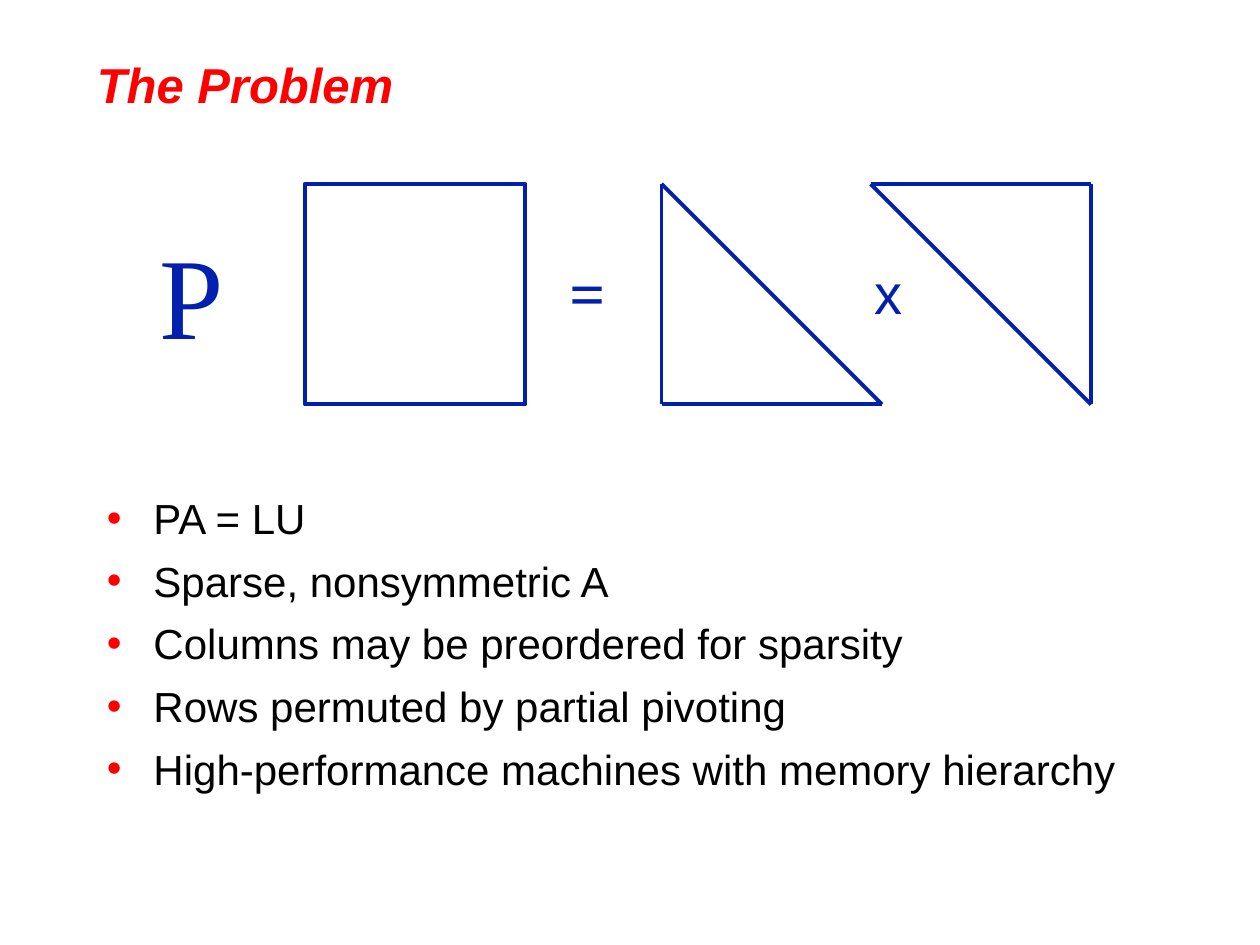
from dataclasses import dataclass

from lxml.etree import SubElement
from pptx import Presentation
from pptx.dml.color import RGBColor
from pptx.enum.shapes import MSO_CONNECTOR as Connector, MSO_SHAPE as Shape
from pptx.enum.text import MSO_ANCHOR as Anchor, MSO_AUTO_SIZE as AutoSize
from pptx.oxml.ns import qn
from pptx.util import Inches, Pt


@dataclass(frozen=True)
class Theme:
    red: RGBColor = RGBColor(0xFF, 0x00, 0x00)
    blue: RGBColor = RGBColor(0x02, 0x1F, 0xAE)
    black: RGBColor = RGBColor(0x00, 0x00, 0x00)
    sans: str = "Arial"
    serif: str = "Times New Roman"
    title_size: int = 28
    body_size: int = 24
    equals_size: int = 36
    times_size: int = 32
    permutation_size: int = 66
    outline: float = 2.25


THEME = Theme()
MATRIX_TOP, MATRIX_SIZE = 1.46, 1.75
MATRIX_BOTTOM = MATRIX_TOP + MATRIX_SIZE
BULLETS = [
    "PA = LU",
    "Sparse, nonsymmetric A",
    "Columns may be preordered for sparsity",
    "Rows permuted by partial pivoting",
    "High-performance machines with memory hierarchy",
]


def add_bullet(paragraph, color, indent=0.37):
    properties = paragraph._p.get_or_add_pPr()
    properties.set("marL", str(Inches(indent)))
    properties.set("indent", str(-Inches(indent)))
    bullet_color = SubElement(properties, qn("a:buClr"))
    SubElement(bullet_color, qn("a:srgbClr"), val=str(color))
    SubElement(properties, qn("a:buFont"), typeface=THEME.sans)
    SubElement(properties, qn("a:buChar"), char="•")


def add_text(slide, text, left, top, width, height, *, size, color,
             font=THEME.sans, bold=False, italic=False, wrap=True,
             anchor=Anchor.TOP, bullet_color=None, gap=0):
    """Add a text box with one paragraph for each line of text."""
    box = slide.shapes.add_textbox(
        Inches(left), Inches(top), Inches(width), Inches(height))
    frame = box.text_frame
    frame.word_wrap = wrap
    frame.auto_size = AutoSize.NONE if wrap else AutoSize.SHAPE_TO_FIT_TEXT
    frame.vertical_anchor = anchor
    frame.text = text
    for index, paragraph in enumerate(frame.paragraphs):
        if index and gap:
            paragraph.space_before = Pt(gap)
        if bullet_color is not None:
            add_bullet(paragraph, bullet_color)
        for run in paragraph.runs:
            run.font.name = font
            run.font.size = Pt(size)
            run.font.bold = bold
            run.font.italic = italic
            run.font.color.rgb = color


def style_outline(shape):
    shape.line.color.rgb = THEME.blue
    shape.line.width = Pt(THEME.outline)


def add_square(slide, left):
    square = slide.shapes.add_shape(
        Shape.RECTANGLE, Inches(left), Inches(MATRIX_TOP),
        Inches(MATRIX_SIZE), Inches(MATRIX_SIZE))
    square.shadow.inherit = False
    square.fill.background()
    style_outline(square)


def add_triangle(slide, corners):
    """Group the three lines that join the corners."""
    group = slide.shapes.add_group_shape()
    for start, end in zip(corners, corners[1:] + corners[:1]):
        line = group.shapes.add_connector(
            Connector.STRAIGHT, *map(Inches, start + end))
        style_outline(line)
        SubElement(line._element.spPr, qn("a:effectLst"))


def add_factorization(slide):
    add_square(slide, 2.42)

    lower_left, upper_left = 5.25, 6.91
    lower_right, upper_right = (
        left + MATRIX_SIZE for left in (lower_left, upper_left))
    add_triangle(slide, [(lower_left, MATRIX_TOP), (lower_left, MATRIX_BOTTOM),
                         (lower_right, MATRIX_BOTTOM)])
    add_triangle(slide, [(upper_right, MATRIX_BOTTOM), (upper_right, MATRIX_TOP),
                         (upper_left, MATRIX_TOP)])

    add_text(slide, "=", 4.42, 1.96, 0.48, 0.7, size=THEME.equals_size,
             color=THEME.blue, font=THEME.serif, bold=True, wrap=False)
    add_text(slide, "x", 6.84, 2, 0.42, 0.64, size=THEME.times_size,
             color=THEME.blue, wrap=False)
    add_text(slide, "P", 1.17, 1.73, 0.71, 1.2, size=THEME.permutation_size,
             color=THEME.blue, font=THEME.serif, wrap=False)


def main():
    presentation = Presentation()
    presentation.slide_width = Inches(10)
    presentation.slide_height = Inches(7.5)
    slide = presentation.slides.add_slide(presentation.slide_layouts[6])

    add_text(slide, "The Problem", 0.67, 0.33, 8.19, 0.67,
             size=THEME.title_size, color=THEME.red, bold=True, italic=True,
             anchor=Anchor.MIDDLE)
    add_text(slide, "\n".join(BULLETS), 0.75, 3.86, 9, 2.83,
             size=THEME.body_size, color=THEME.black,
             bullet_color=THEME.red, gap=7)
    add_factorization(slide)
    presentation.save("out.pptx")


if __name__ == "__main__":
    main()
